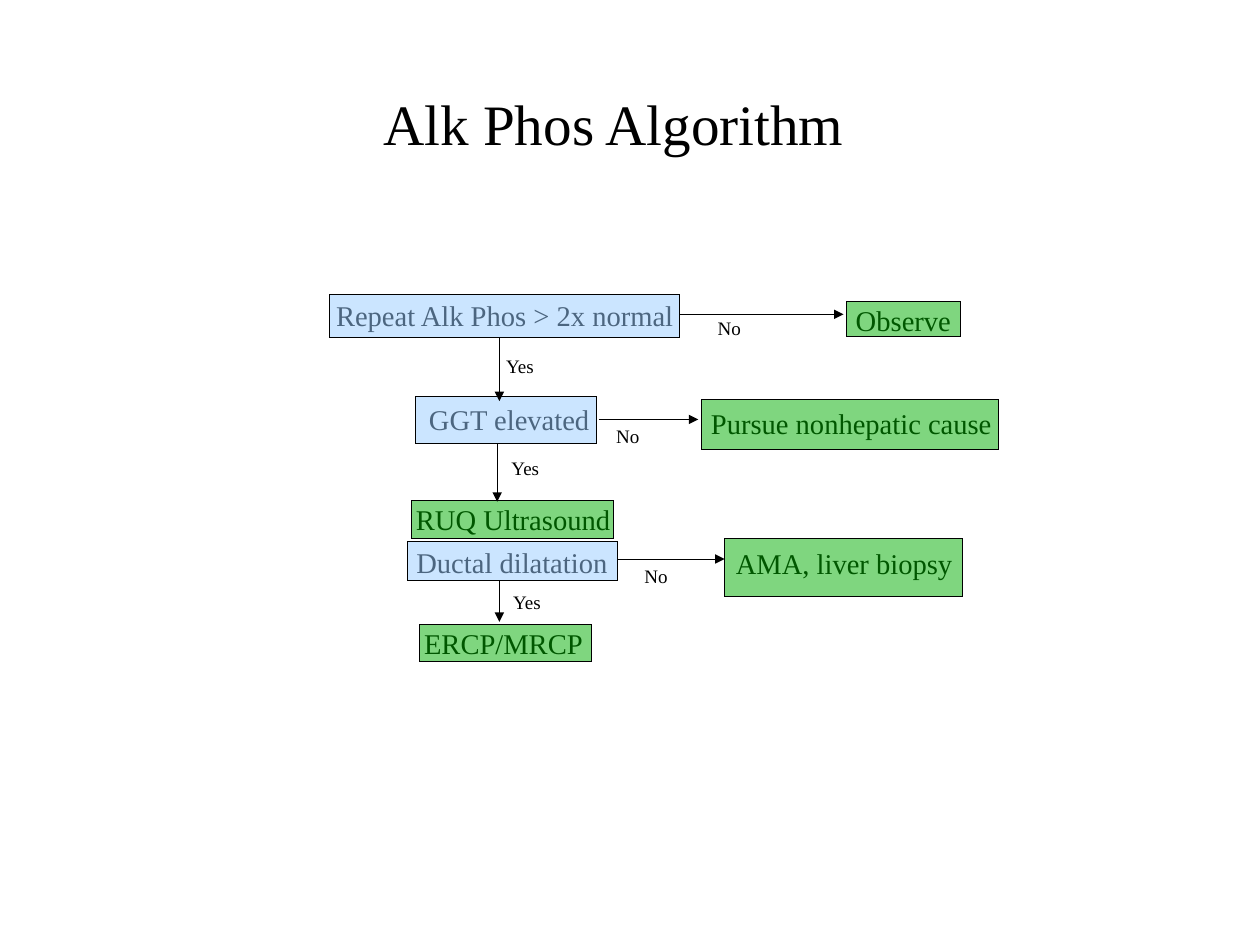
"""Build the Alk Phos Algorithm flowchart slide."""
from lxml import etree
from pptx import Presentation
from pptx.dml.color import RGBColor
from pptx.enum.shapes import MSO_CONNECTOR as CONN, MSO_SHAPE as SHAPE
from pptx.enum.text import MSO_AUTO_SIZE as FIT, PP_ALIGN as ALIGN
from pptx.oxml.ns import qn
from pptx.util import Pt

FONT = "Times New Roman"
BLACK, BLUE, GREEN = "000000", "99CCFF", "00AE00"
TITLE = ("Alk Phos Algorithm", 240.3, 55.4, 292.3, 36)

# text, fill, box (left, top, width, height), text (left, top, width)
STEPS = [
    ("GGT elevated", BLUE, (262, 249.8, 113.8, 29.5), (270, 253.4, 101.5)),
    ("Ductal dilatation", BLUE, (256.8, 341.2, 132.5, 24.5), (262, 343.2, 121)),
    ("Repeat Alk Phos > 2x normal", BLUE, (207.4, 185.8, 221, 26.6), (210.7, 187.9, 214.6)),
    ("RUQ Ultrasound", GREEN, (259, 315.2, 127.4, 23.8), (261, 316, 124.4)),
    ("ERCP/MRCP", GREEN, (264.2, 393.1, 108.7, 23.8), (267.1, 394.4, 100.1)),
    ("Observe", GREEN, (533.3, 189.9, 72, 22.3), (538.2, 190.7, 61.8)),
    ("Pursue nonhepatic cause", GREEN, (442, 251.9, 187.2, 31), (447.8, 255.6, 177.1)),
    ("AMA, liver biopsy", GREEN, (456.5, 339.1, 149.8, 36.7), (463.4, 344, 136.8)),
]

# start x, start y, length, label left, label top
YES_ARROWS = [
    (314.6, 212.4, 40.3, 318.2, 223),
    (313.2, 279.4, 36.7, 321.6, 287.8),
    (314.6, 365.8, 25.9, 322.6, 372),
]
NO_ARROWS = [
    (428.4, 198, 103, 451.2, 199.3),
    (377.3, 264.2, 62.6, 387.3, 267.1),
    (389.5, 352.1, 67, 405.1, 355.5),
]


def rgb(color):
    return RGBColor.from_string(color)


def set_hairline(line):
    line.color.rgb = rgb(BLACK)
    ln = line._get_or_add_ln()
    ln.set("w", "0")
    return ln


def add_text(shapes, text, left, top, width, size):
    sp = shapes.add_textbox(Pt(left), Pt(top), Pt(width), Pt(size * 1.2))
    tf = sp.text_frame
    tf.margin_left = tf.margin_top = tf.margin_right = tf.margin_bottom = 0
    tf.word_wrap = False
    tf.auto_size = FIT.SHAPE_TO_FIT_TEXT
    p = tf.paragraphs[0]
    p.text = text
    p.alignment = ALIGN.CENTER
    p.font.name, p.font.size = FONT, Pt(size)
    p.font.color.rgb = rgb(BLACK)


def add_step(shapes, text, color, box, text_at):
    group = shapes.add_group_shape()
    add_text(group.shapes, text, *text_at, 18)
    sp = group.shapes.add_shape(SHAPE.RECTANGLE, *map(Pt, box))
    sp.shadow.inherit = False
    sp.fill.solid()
    sp.fill.fore_color.rgb = rgb(color)
    tint = sp.fill._xPr.find(qn("a:solidFill"))[0]
    etree.SubElement(tint, qn("a:alpha"), val="50000")
    set_hairline(sp.line)


def add_arrow(shapes, x, y, dx, dy):
    arrow = shapes.add_connector(CONN.STRAIGHT, Pt(x), Pt(y), Pt(x + dx), Pt(y + dy))
    etree.SubElement(set_hairline(arrow.line), qn("a:tailEnd"), type="triangle")
    etree.SubElement(arrow._element.spPr, qn("a:effectLst"))


def main():
    prs = Presentation()
    prs.slide_width, prs.slide_height = Pt(793.75), Pt(595.25)
    shapes = prs.slides.add_slide(prs.slide_layouts[6]).shapes

    for step in STEPS:
        add_step(shapes, *step)
    for x, y, length, left, top in YES_ARROWS:
        add_arrow(shapes, x, y, 0, length)
        add_text(shapes, "Yes", left, top, 18.7, 12)
    for x, y, length, left, top in NO_ARROWS:
        add_arrow(shapes, x, y, length, 0)
        add_text(shapes, "No", left, top, 16.4, 12)
    add_text(shapes, *TITLE)

    prs.save("out.pptx")


if __name__ == "__main__":
    main()
